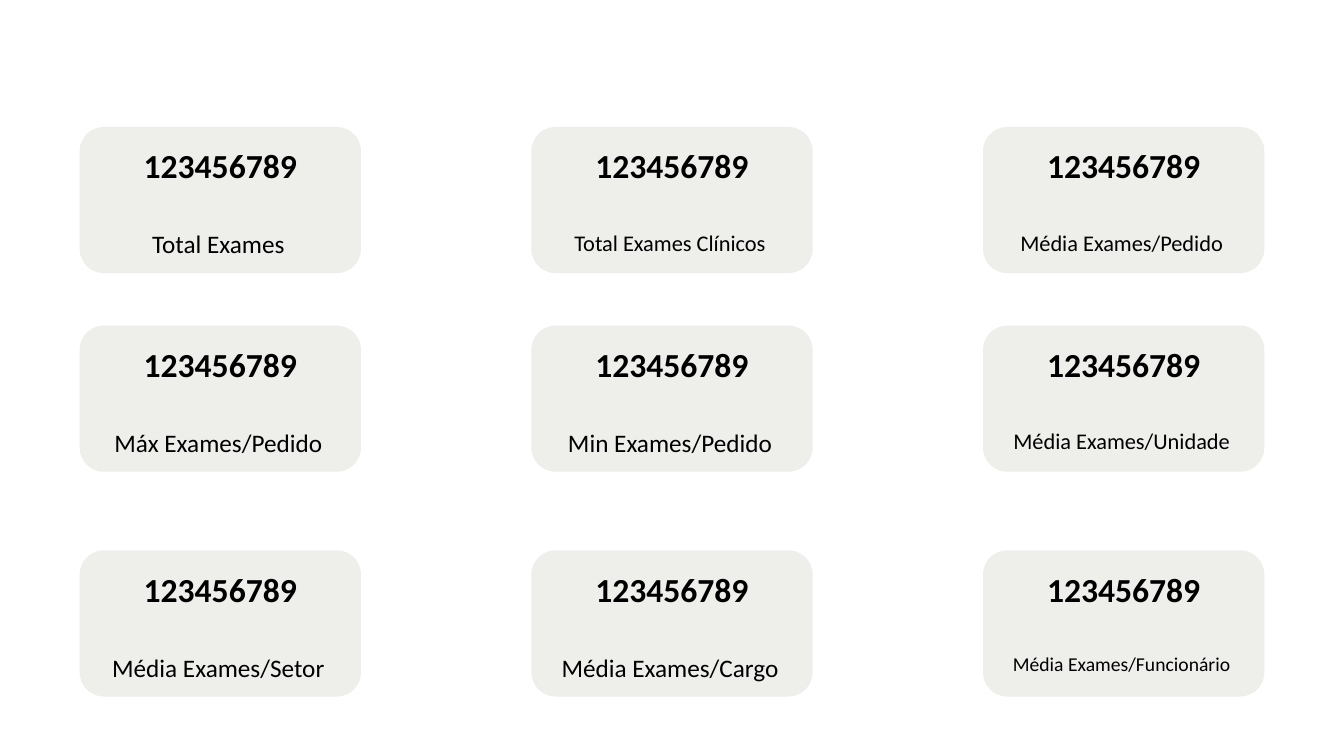
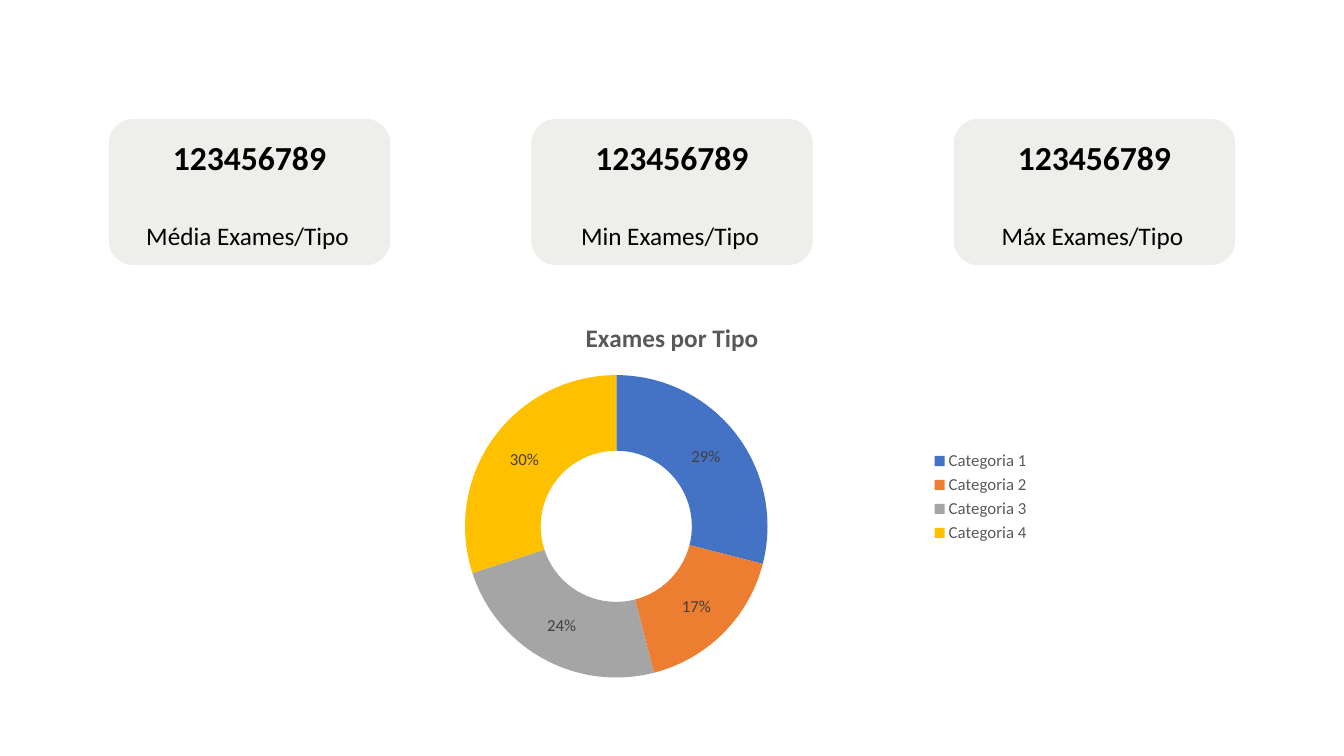
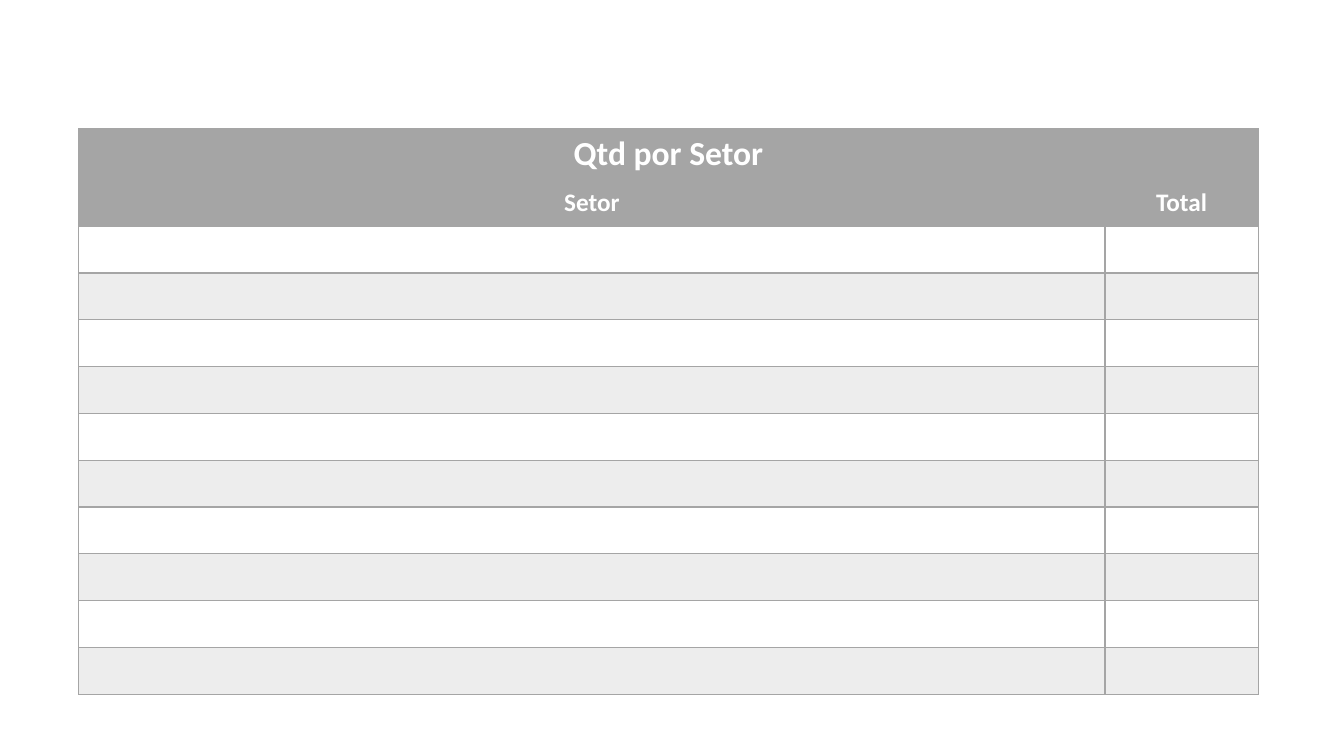
import dataclasses

import lxml.etree
import pptx
import pptx.chart.data
import pptx.dml.color
import pptx.enum.chart
import pptx.enum.shapes
import pptx.enum.text
import pptx.oxml.ns
import pptx.slide
import pptx.table
import pptx.text.text
import pptx.util

WHITE = pptx.dml.color.RGBColor(0xFF, 0xFF, 0xFF)
BLACK = pptx.dml.color.RGBColor(0x00, 0x00, 0x00)
CARD_FILL = pptx.dml.color.RGBColor(0xEE, 0xEF, 0xEA)
GRAY = pptx.dml.color.RGBColor(0xA5, 0xA5, 0xA5)
CHART_TEXT = pptx.dml.color.RGBColor(0x59, 0x59, 0x59)
LABEL_TEXT = pptx.dml.color.RGBColor(0x40, 0x40, 0x40)
BLUE = pptx.dml.color.RGBColor(0x44, 0x72, 0xC4)
ORANGE = pptx.dml.color.RGBColor(0xED, 0x7D, 0x31)
GOLD = pptx.dml.color.RGBColor(0xFF, 0xC0, 0x00)
SLICE_COLORS = (BLUE, ORANGE, GRAY, GOLD)

FONT = "Calibri"
SLIDE_W, SLIDE_H = 13.33, 7.5
CARD_W, CARD_H = 2.79, 1.45
CENTER_LEFT = (SLIDE_W - CARD_W) / 2
VALUE = "123456789"


@dataclasses.dataclass(frozen=True)
class Card:
    label: str
    col: int
    top: float
    step: float
    size: int = 18

    @property
    def left(self) -> float:
        return CENTER_LEFT + (self.col - 1) * self.step


EXAM_ROWS = (
    (1.26, (("Total Exames", 18), ("Total Exames Clínicos", 16), ("Média Exames/Pedido", 16))),
    (3.23, (("Máx Exames/Pedido", 18), ("Min Exames/Pedido", 18), ("Média Exames/Unidade", 16))),
    (5.46, (("Média Exames/Setor", 18), ("Média Exames/Cargo", 18), ("Média Exames/Funcionário", 14))),
)
EXAM_CARDS = [
    Card(label, col, top, 4.48, size)
    for top, labels in EXAM_ROWS
    for col, (label, size) in enumerate(labels)
]
TYPE_CARDS = [
    Card(label, col, 1.18, 4.19)
    for col, label in enumerate(("Média Exames/Tipo", "Min Exames/Tipo", "Máx Exames/Tipo"))
]


def box(left: float, top: float, width: float, height: float) -> list[int]:
    return [pptx.util.Inches(v) for v in (left, top, width, height)]


def write(tf: pptx.text.text.TextFrame, text: str, *, size: int = 18,
          color: pptx.dml.color.RGBColor = BLACK, bold: bool = False) -> None:
    p = tf.paragraphs[0]
    p.alignment = pptx.enum.text.PP_ALIGN.CENTER
    r = p.add_run()
    r.text = text
    set_font(r.font, size, color, bold)


def set_font(font: pptx.text.text.Font, size: int,
             color: pptx.dml.color.RGBColor, bold: bool = False) -> None:
    font.name = FONT
    font.size = pptx.util.Pt(size)
    font.bold = bold
    font.color.rgb = color


def set_alpha(props: lxml.etree.ElementBase, percent: int) -> None:
    qn = pptx.oxml.ns.qn
    clr = props.find(qn("a:solidFill")).find(qn("a:srgbClr"))
    lxml.etree.SubElement(clr, qn("a:alpha")).set("val", str(percent * 1000))


def add_panel_slide(prs: pptx.presentation.Presentation) -> pptx.slide.Slide:
    s = prs.slides.add_slide(prs.slide_layouts[6])
    sp = s.shapes.add_shape(pptx.enum.shapes.MSO_SHAPE.RECTANGLE, *box(0.45, 0.94, 12.43, 6.28))
    sp.shadow.inherit = False
    sp.fill.solid()
    sp.fill.fore_color.rgb = WHITE
    set_alpha(sp.element.spPr, 90)
    sp.line.color.rgb = WHITE
    sp.line.width = pptx.util.Pt(1)
    return s


def add_card(s: pptx.slide.Slide, card: Card) -> None:
    shapes = s.shapes.add_group_shape().shapes
    sp = shapes.add_shape(pptx.enum.shapes.MSO_SHAPE.ROUNDED_RECTANGLE,
                          *box(card.left, card.top, CARD_W, CARD_H))
    sp.shadow.inherit = False
    sp.fill.solid()
    sp.fill.fore_color.rgb = CARD_FILL
    sp.line.fill.background()
    for text, size, bold, dx, dy, width in (
        (VALUE, 24, True, 0, 0.13, CARD_W),
        (card.label, card.size, False, 0.15, 0.96, 2.45),
    ):
        height = 0.1 + size * 1.22 / 72
        tb = shapes.add_textbox(*box(card.left + dx, card.top + dy, width, height))
        tf = tb.text_frame
        tf.word_wrap = True
        tf.auto_size = pptx.enum.text.MSO_AUTO_SIZE.SHAPE_TO_FIT_TEXT
        write(tf, text, size=size, bold=bold)


def add_type_chart(s: pptx.slide.Slide) -> None:
    data = pptx.chart.data.CategoryChartData()
    data.categories = [f"Categoria {n}" for n in range(1, 5)]
    data.add_series("Series 1", (29, 17, 24, 30))
    chart = s.shapes.add_chart(pptx.enum.chart.XL_CHART_TYPE.DOUGHNUT,
                               *box(3.01, 3, 7.31, 3.86), data).chart
    set_font(chart.font, 10, BLACK)
    chart.has_title = True
    write(chart.chart_title.text_frame, "Exames por Tipo", color=CHART_TEXT, bold=True)
    chart.chart_title.include_in_layout = False
    chart.has_legend = True
    chart.legend.position = pptx.enum.chart.XL_LEGEND_POSITION.RIGHT
    chart.legend.include_in_layout = False
    set_font(chart.legend.font, 12, CHART_TEXT)
    plot = chart.plots[0]
    plot.vary_by_categories = True
    for i, color in enumerate(SLICE_COLORS):
        fmt = plot.series[0].points[i].format
        fmt.fill.solid()
        fmt.fill.fore_color.rgb = color
        fmt.line.fill.background()
    labels = plot.series[0].data_labels
    labels.show_value = False
    labels.show_percentage = True
    labels.number_format = "0%"
    labels.number_format_is_linked = False
    set_font(labels.font, 12, LABEL_TEXT)


def format_cell(cell: pptx.table._Cell, fill: pptx.dml.color.RGBColor, alpha: int = 100) -> None:
    qn = pptx.oxml.ns.qn
    cell.vertical_anchor = pptx.enum.text.MSO_ANCHOR.MIDDLE
    cell.fill.solid()
    cell.fill.fore_color.rgb = fill
    props = cell._tc.get_or_add_tcPr()
    if alpha < 100:
        set_alpha(props, alpha)
    for i, side in enumerate("LRTB"):
        ln = lxml.etree.Element(qn(f"a:ln{side}"), w=str(pptx.util.Pt(1)))
        solid = lxml.etree.SubElement(ln, qn("a:solidFill"))
        lxml.etree.SubElement(solid, qn("a:srgbClr")).set("val", str(GRAY))
        props.insert(i, ln)


def add_sector_table(s: pptx.slide.Slide) -> None:
    rows, height, title_height = 12, 5.61, 0.5
    table = s.shapes.add_table(rows, 2, *box(0.78, 1.28, 11.7, height)).table
    table.first_row = False
    table.horz_banding = False
    for column, width in zip(table.columns, (10.18, 1.52)):
        column.width = pptx.util.Inches(width)
    for i, row in enumerate(table.rows):
        row_height = title_height if i == 0 else (height - title_height) / (rows - 1)
        row.height = pptx.util.Inches(row_height)
        for cell in row.cells:
            if i < 2:
                format_cell(cell, GRAY)
            elif i % 2:
                format_cell(cell, GRAY, alpha=20)
            else:
                format_cell(cell, WHITE)
    table.cell(0, 0).merge(table.cell(0, 1))
    for i, j, text, size in ((0, 0, "Qtd por Setor", 24), (1, 0, "Setor", 18), (1, 1, "Total", 18)):
        write(table.cell(i, j).text_frame, text, size=size, color=WHITE, bold=True)


def main() -> None:
    prs = pptx.Presentation()
    prs.slide_width = pptx.util.Inches(SLIDE_W)
    prs.slide_height = pptx.util.Inches(SLIDE_H)

    s = add_panel_slide(prs)
    for card in EXAM_CARDS:
        add_card(s, card)

    s = add_panel_slide(prs)
    add_type_chart(s)
    for card in TYPE_CARDS:
        add_card(s, card)

    s = add_panel_slide(prs)
    add_sector_table(s)

    prs.save("out.pptx")


if __name__ == "__main__":
    main()
